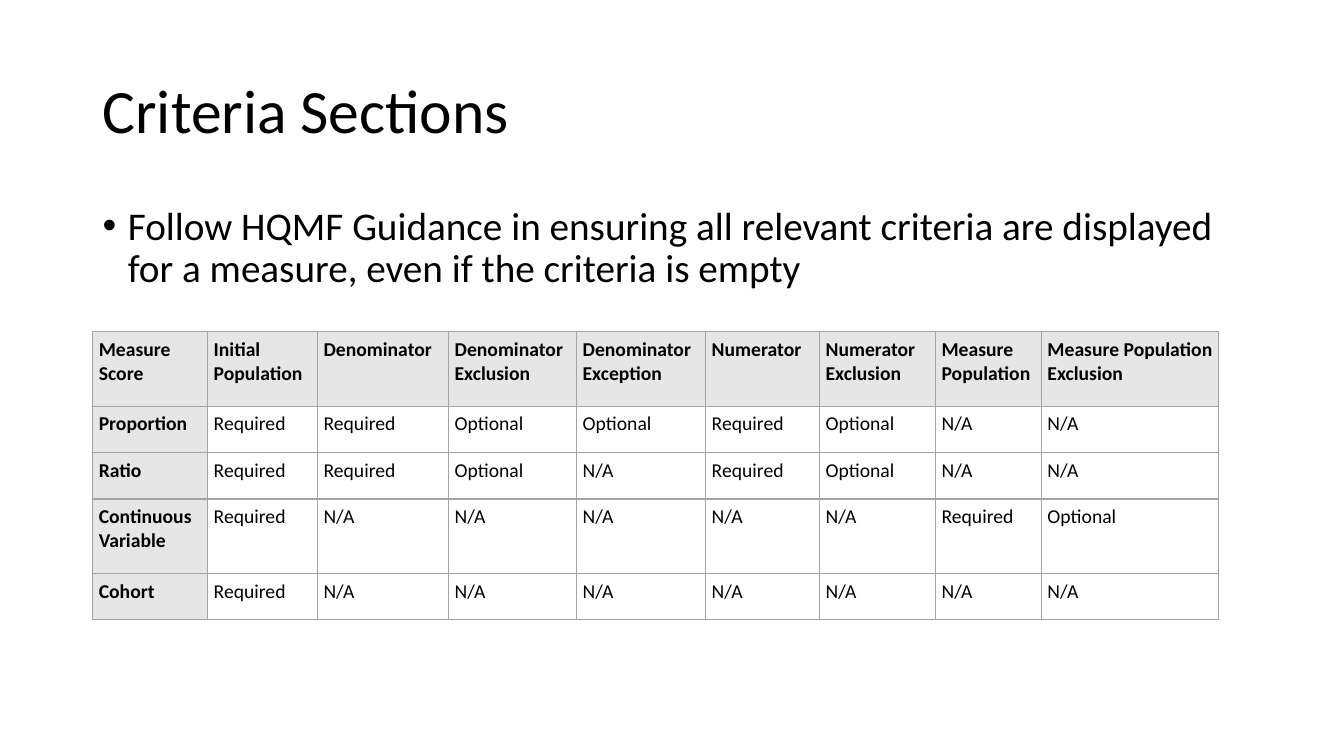
from lxml import etree
from pptx import Presentation
from pptx import util as u
from pptx.dml.color import RGBColor
from pptx.enum import text
from pptx.oxml import ns

TITLE = "Criteria Sections"
GUIDANCE = ("Follow HQMF Guidance in ensuring all relevant criteria are displayed "
            "for a measure, even if the criteria is empty")
REQUIRED, OPTIONAL, NONE = "Required", "Optional", "N/A"
CRITERIA = [
    ["Measure Score", "Initial Population", "Denominator", "Denominator Exclusion",
     "Denominator Exception", "Numerator", "Numerator Exclusion",
     "Measure Population", "Measure Population Exclusion"],
    ["Proportion", REQUIRED, REQUIRED, OPTIONAL, OPTIONAL, REQUIRED, OPTIONAL, NONE, NONE],
    ["Ratio", REQUIRED, REQUIRED, OPTIONAL, NONE, REQUIRED, OPTIONAL, NONE, NONE],
    ["Continuous Variable", REQUIRED] + [NONE] * 5 + [REQUIRED, OPTIONAL],
    ["Cohort", REQUIRED] + [NONE] * 7,
]
COLUMN_WIDTHS = [1.14, 1.09, 1.3, 1.27, 1.28, 1.13, 1.15, 1.05, 1.76]
ROW_HEIGHTS = [0.74, 0.46, 0.46, 0.74, 0.46]


def color(value):
    return RGBColor.from_string(value)


def add_xml(parent, tag, **attributes):
    return etree.SubElement(parent, ns.qn(tag), attributes)


class SlideBuilder:
    font_name = "Calibri"
    ink = "000000"
    header_fill = "E7E6E6"
    border = "A3A3A3"
    cell_inset = u.Inches(0.06)

    def __init__(self, slide):
        self.slide = slide

    def style(self, paragraph, size, bold=False):
        font = paragraph.font
        font.name, font.size, font.bold = self.font_name, u.Pt(size), bold
        font.color.rgb = color(self.ink)

    def text_box(self, words, left, top, width, height, size,
                 anchor=text.MSO_ANCHOR.TOP, bullet=False):
        shape = self.slide.shapes.add_textbox(*map(u.Inches, (left, top, width, height)))
        frame = shape.text_frame
        frame.word_wrap = True
        frame.vertical_anchor = anchor
        paragraph = frame.paragraphs[0]
        paragraph.text = words
        paragraph.line_spacing = 0.9
        if bullet:
            paragraph.space_before = u.Pt(10)
            self.bullet(paragraph)
        self.style(paragraph, size)

    def bullet(self, paragraph):
        properties = paragraph._p.get_or_add_pPr()
        indent = u.Inches(0.25)
        properties.set("marL", str(indent))
        properties.set("indent", str(-indent))
        add_xml(properties, "a:buFont", typeface="Arial")
        add_xml(properties, "a:buChar", char="•")

    def table(self, rows, left, top, widths, heights, size):
        frame = self.slide.shapes.add_table(
            len(rows), len(widths), u.Inches(left), u.Inches(top),
            u.Inches(sum(widths)), u.Inches(sum(heights)))
        table = frame.table
        table.first_row = table.horz_banding = False
        for column, width in zip(table.columns, widths):
            column.width = u.Inches(width)
        for row, height in zip(table.rows, heights):
            row.height = u.Inches(height)
        for r, row in enumerate(rows):
            for c, words in enumerate(row):
                self.cell(table.cell(r, c), words, size, header=r == 0 or c == 0)

    def cell(self, cell, words, size, header):
        cell.text = words
        cell.margin_left = cell.margin_right = self.cell_inset
        cell.margin_top = cell.margin_bottom = self.cell_inset
        self.style(cell.text_frame.paragraphs[0], size, bold=header)
        properties = cell._tc.get_or_add_tcPr()
        for side in "LRTB":
            line = add_xml(properties, f"a:ln{side}", w=str(u.Pt(1)))
            add_xml(add_xml(line, "a:solidFill"), "a:srgbClr", val=self.border)
        if header:
            cell.fill.solid()
            cell.fill.fore_color.rgb = color(self.header_fill)
        else:
            cell.fill.background()


presentation = Presentation()
presentation.slide_width = u.Inches(13.33)
presentation.slide_height = u.Inches(7.5)
builder = SlideBuilder(presentation.slides.add_slide(presentation.slide_layouts[6]))

# Title and guidance
builder.text_box(TITLE, 0.92, 0.4, 11.5, 1.45, 44, anchor=text.MSO_ANCHOR.MIDDLE)
builder.text_box(GUIDANCE, 0.92, 2, 11.5, 4.76, 28, bullet=True)

# Criteria by measure score
builder.table(CRITERIA, 0.92, 3.29, COLUMN_WIDTHS, ROW_HEIGHTS, 14)

presentation.save("out.pptx")
